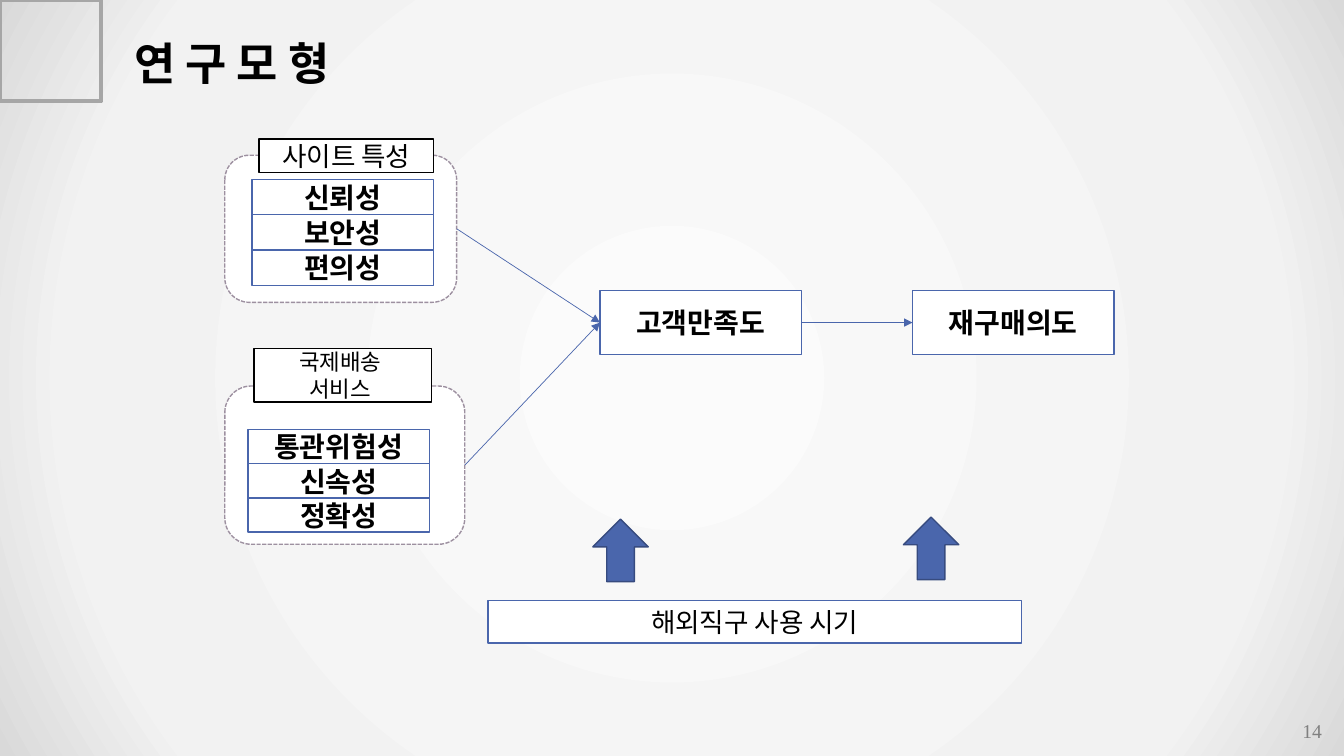
from lxml import etree
from pptx import Presentation
from pptx.dml.color import RGBColor
from pptx.enum.dml import MSO_LINE
from pptx.enum.shapes import MSO_CONNECTOR, MSO_SHAPE
from pptx.enum.text import MSO_ANCHOR, PP_ALIGN
from pptx.oxml import parse_xml
from pptx.oxml.ns import nsdecls, qn
from pptx.util import Inches, Pt

RECT, CARD, UP_ARROW = MSO_SHAPE.RECTANGLE, MSO_SHAPE.ROUNDED_RECTANGLE, MSO_SHAPE.UP_ARROW
LEFT, CENTER = PP_ALIGN.LEFT, PP_ALIGN.CENTER
TOP, MIDDLE = MSO_ANCHOR.TOP, MSO_ANCHOR.MIDDLE
DASH, STRAIGHT = MSO_LINE.SQUARE_DOT, MSO_CONNECTOR.STRAIGHT
LEFT_SITE, RIGHT_SITE = 1, 3

WHITE = RGBColor(0xFF, 0xFF, 0xFF)
BLACK = RGBColor(0, 0, 0)
BLUE = RGBColor(0x4A, 0x66, 0xAC)
DARK_BLUE = RGBColor(0x37, 0x4B, 0x7F)
MAUVE = RGBColor(0x9D, 0x90, 0xA0)
GREY = RGBColor(0x80, 0x80, 0x80)
LIGHT_GREY = RGBColor(0xA6, 0xA6, 0xA6)

BODY_FONT, KOREAN_FONT = "Times New Roman", "Noto Sans CJK KR"


def write(frame, text, size, color=BLACK, bold=False, align=CENTER, anchor=MIDDLE, font=BODY_FONT):
    frame.word_wrap = True
    frame.vertical_anchor = anchor
    frame.text = text
    for paragraph in frame.paragraphs:
        paragraph.alignment = align
        paragraph.font.size = Pt(size)
        paragraph.font.bold = bold
        paragraph.font.color.rgb = color
        paragraph.font.name = font
        defaults = paragraph._p.pPr.find(qn("a:defRPr"))
        etree.SubElement(defaults, qn("a:ea"), typeface=KOREAN_FONT)


def add_box(kind, left, top, width, height, line=BLUE, fill=WHITE):
    box = slide.shapes.add_shape(kind, Inches(left), Inches(top), Inches(width), Inches(height))
    box.shadow.inherit = False
    box.fill.solid()
    box.fill.fore_color.rgb = fill
    box.line.color.rgb = line
    box.line.width = Pt(1)
    return box


prs = Presentation()
prs.slide_width, prs.slide_height = Inches(13.33), Inches(7.5)
slide = prs.slides.add_slide(prs.slide_layouts[5])

# Radial background
background = slide.background.fill
background.gradient()
gradient = slide._element.find(".//" + qn("a:gradFill"))
stops = "".join(
    f'<a:gs pos="{share * 1000}"><a:srgbClr val="{color}"/></a:gs>'
    for share, color in ((0, "FBFBFB"), (79, "F2F2F2"), (100, "D9D9D9"))
)
gradient.getparent().replace(gradient, parse_xml(
    f'<a:gradFill {nsdecls("a")} rotWithShape="1"><a:gsLst>{stops}</a:gsLst>'
    '<a:path path="circle"><a:fillToRect l="50000" t="50000" r="50000" b="50000"/></a:path>'
    '</a:gradFill>'))

# Corner brackets
brackets = (
    (GREY, 2.5, ((0.84, 0.54), (0.84, 0.46), (0.3, 0.46), (0.3, 1.07), (0.84, 1.07), (0.84, 1))),
    (LIGHT_GREY, 2.5, ((1.01, 0.6), (1.01, 0.33), (0.47, 0.33), (0.47, 0.81), (0.76, 0.81))),
    (LIGHT_GREY, 2, ((12.8, 7.33), (12.8, 7.43), (13.24, 7.43), (13.24, 7.05), (13.08, 7.05))),
)
for color, weight, points in brackets:
    builder = slide.shapes.build_freeform(*points[0], scale=Inches(1))
    builder.add_line_segments(points[1:], close=False)
    bracket = builder.convert_to_shape()
    bracket.shadow.inherit = False
    bracket.fill.background()
    bracket.line.color.rgb = color
    bracket.line.width = Pt(weight)

# Title and page number
title = slide.shapes.title
title.left, title.top, title.width, title.height = map(Inches, (1.23, 0.3, 2.47, 0.64))
write(title.text_frame, "연 구 모 형", 32, bold=True, align=LEFT, anchor=TOP, font=KOREAN_FONT)
page_number = slide.shapes.add_textbox(*map(Inches, (12.8, 7.09, 0.43, 0.31)))
write(page_number.text_frame, "14", 14, GREY)
page_number.text_frame.margin_left = page_number.text_frame.margin_right = Inches(0.07)

# Antecedents: card, heading, heading size, factors, first factor (left, top), row height
antecedents = (
    ((2.23, 1.54, 2.3, 1.46), (2.57, 1.38, 1.73, 0.33), "사이트 특성", 19,
     ("신뢰성", "보안성", "편의성"), (2.5, 1.78), 0.35),
    ((2.23, 3.83, 2.38, 1.57), (2.52, 3.46, 1.76, 0.53), "국제배송 \n서비스 ", 16,
     ("통관위험성", "신속성", "정확성"), (2.46, 4.26), 0.34),
)
cards = []
for card_area, heading_area, heading, size, factors, (left, top), row in antecedents:
    card = add_box(CARD, *card_area, line=MAUVE)
    card.line.dash_style = DASH
    cards.append(card)
    for index, factor in enumerate(factors):
        factor_box = add_box(RECT, left, top + index * row, 1.8, row)
        write(factor_box.text_frame, factor, 20, bold=True)
    write(add_box(RECT, *heading_area, line=BLACK).text_frame, heading, size)

# Outcomes
satisfaction, repurchase = (add_box(RECT, left, 2.88, 2, 0.64) for left in (5.95, 9.05))
write(satisfaction.text_frame, "고객만족도", 20, bold=True)
write(repurchase.text_frame, "재구매의도", 20, bold=True)

# Paths between constructs
for cause, effect in ((cards[0], satisfaction), (cards[1], satisfaction), (satisfaction, repurchase)):
    link = slide.shapes.add_connector(STRAIGHT, 0, 0, 0, 0)
    link.begin_connect(cause, RIGHT_SITE)
    link.end_connect(effect, LEFT_SITE)
    link.line.color.rgb = BLUE
    link.line.width = Pt(0.5)
    etree.SubElement(link.line._get_or_add_ln(), qn("a:tailEnd"), type="triangle")
    etree.SubElement(link._element.spPr, qn("a:effectLst"))

# Moderator
for left, top in ((5.88, 5.15), (8.96, 5.13)):
    add_box(UP_ARROW, left, top, 0.55, 0.62, line=DARK_BLUE, fill=BLUE)
moderator = add_box(RECT, 4.84, 5.96, 5.29, 0.42)
write(moderator.text_frame, "해외직구 사용 시기", 19)

prs.save("out.pptx")
